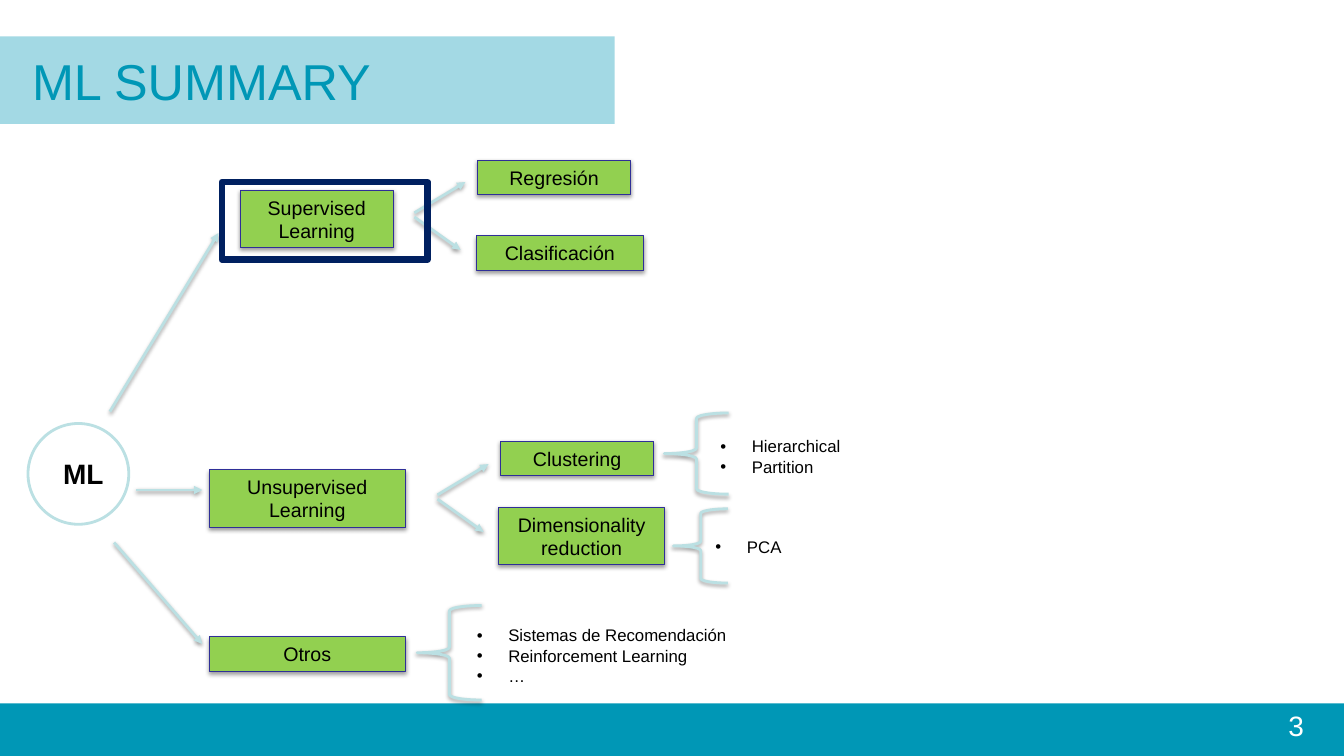
from lxml import etree
from pptx import Presentation
from pptx.dml.color import RGBColor
from pptx.enum.shapes import MSO_CONNECTOR as Connector, MSO_SHAPE as Preset
from pptx.enum.text import MSO_ANCHOR as Anchor, PP_ALIGN as Align
from pptx.oxml import parse_xml
from pptx.oxml.ns import nsdecls, qn
from pptx.util import Pt

TEAL = RGBColor(0x00, 0x97, 0xB6)
PALE = RGBColor(0xBB, 0xE0, 0xE3)
GREEN = RGBColor(0x92, 0xD0, 0x50)
INDIGO = RGBColor(0x2F, 0x2F, 0x98)
NAVY = RGBColor(0x00, 0x20, 0x60)
WHITE = RGBColor(0xFF, 0xFF, 0xFF)
BLACK = RGBColor(0x00, 0x00, 0x00)
FONT = "Arial"
SHADOW = (
    f'<a:effectLst {nsdecls("a")}><a:outerShdw blurRad="{Pt(3.1)}" dist="{Pt(1.6)}" '
    'dir="5400000" rotWithShape="0"><a:srgbClr val="000000"><a:alpha val="38000"/>'
    '</a:srgbClr></a:outerShdw></a:effectLst>'
)


class Diagram:
    """Draws the elements of a learning tree on one slide."""

    def __init__(self, slide):
        self.slide = slide

    def label(self, text_frame, text, size, color=BLACK, align=Align.LEFT,
              anchor=Anchor.TOP, bold=False):
        text_frame.text = text
        text_frame.word_wrap = True
        text_frame.vertical_anchor = anchor
        for paragraph in text_frame.paragraphs:
            paragraph.alignment = align
            for run in paragraph.runs:
                run.font.name = FONT
                run.font.size = Pt(size)
                run.font.bold = bold
                run.font.color.rgb = color

    def cast_shadow(self, shape):
        properties = shape.element.spPr
        for effect in properties.findall(qn("a:effectLst")):
            properties.remove(effect)
        properties.append(parse_xml(SHADOW))

    def shape(self, preset, place, fill=None, line=None, width=2, shadow=False):
        shape = self.slide.shapes.add_shape(preset, *map(Pt, place))
        shape.shadow.inherit = False
        if fill is None:
            shape.fill.background()
        else:
            shape.fill.solid()
            shape.fill.fore_color.rgb = fill
        if line is None:
            shape.line.fill.background()
        else:
            shape.line.color.rgb = line
            shape.line.width = Pt(width)
        if shadow:
            self.cast_shadow(shape)
        return shape

    def band(self, place, opacity=100):
        shape = self.shape(Preset.RECTANGLE, place, TEAL)
        if opacity < 100:
            color = shape.element.spPr.find(qn("a:solidFill"))[0]
            etree.SubElement(color, qn("a:alpha")).set("val", str(opacity * 1000))

    def text(self, place, text, size, **style):
        box = self.slide.shapes.add_textbox(*map(Pt, place))
        self.label(box.text_frame, text, size, **style)
        return box

    def node(self, text, *place):
        shape = self.shape(Preset.RECTANGLE, place, GREEN, INDIGO, 0.75, shadow=True)
        self.label(shape.text_frame, text, 14, align=Align.CENTER, anchor=Anchor.MIDDLE)

    def arrow(self, *ends):
        arrow = self.slide.shapes.add_connector(Connector.STRAIGHT, *map(Pt, ends))
        arrow.line.color.rgb = PALE
        arrow.line.width = Pt(2)
        line = arrow.element.spPr.find(qn("a:ln"))
        etree.SubElement(line, qn("a:tailEnd")).set("type", "triangle")
        self.cast_shadow(arrow)

    def fork(self, x, y):
        self.arrow(x, y, x + 36.5, y - 22)
        self.arrow(x, y + 3, x + 33, y + 26.5)

    def bullets(self, items, *place):
        box = self.text(place, "\n".join(items), 12)
        for paragraph in box.text_frame.paragraphs:
            properties = paragraph._p.get_or_add_pPr()
            properties.set("marL", str(Pt(22.5)))
            properties.set("indent", str(-Pt(22.5)))
            etree.SubElement(properties, qn("a:buFont")).set("typeface", FONT)
            etree.SubElement(properties, qn("a:buChar")).set("char", "•")

    def brace(self, *place):
        self.shape(Preset.LEFT_BRACE, place, line=PALE, shadow=True)


presentation = Presentation()
presentation.slide_width, presentation.slide_height = Pt(960), Pt(540)
diagram = Diagram(presentation.slides.add_slide(presentation.slide_layouts[6]))

diagram.band((0, 502.5, 960, 37.5))
diagram.band((0, 26, 439, 62.5), opacity=36)
diagram.text((770.5, 502.5, 168, 37.5), "3", 20, color=WHITE, align=Align.RIGHT)
diagram.text((15.8, 34.5, 419, 45.5), "ML SUMMARY", 36, color=TEAL, anchor=Anchor.MIDDLE)

diagram.shape(Preset.OVAL, (20, 302.5, 72, 72), WHITE, PALE)
root = diagram.shape(Preset.RECTANGLE, (38, 322, 47, 31.5), WHITE, WHITE)
diagram.label(root.text_frame, "ML", 20, anchor=Anchor.MIDDLE, bold=True)

for ends in ((78.5, 294, 156, 166.5), (97, 350, 144.5, 350), (81.5, 387.5, 144.5, 460)):
    diagram.arrow(*ends)
diagram.fork(296, 152)
diagram.fork(312.5, 353.5)

ONE_LINE, TWO_LINES = 24.5, 41
for text, left, top, width, height in (
    ("Supervised Learning", 171.5, 136, 109.5, TWO_LINES),
    ("Unsupervised Learning", 149.5, 335.5, 140, TWO_LINES),
    ("Otros", 149.5, 455, 140, ONE_LINE),
    ("Regresión", 341, 114.5, 109.5, ONE_LINE),
    ("Clasificación", 340.5, 168.5, 119, ONE_LINE),
    ("Clustering", 357.5, 315.5, 109.5, ONE_LINE),
    ("Dimensionality reduction", 356, 362.5, 119, TWO_LINES),
):
    diagram.node(text, left, top, width, height)

diagram.bullets(("Sistemas de Recomendación", "Reinforcement Learning", "…"),
                333.5, 443, 233, 51)
diagram.bullets(("Hierarchical", "Partition"), 507.5, 308, 233, 36)
diagram.bullets(("PCA",), 504, 379.5, 233, 21.5)

diagram.brace(474.5, 295, 46, 58)
diagram.brace(298, 432.5, 46, 67.5)
diagram.brace(481, 363.5, 39, 53)

diagram.shape(Preset.RECTANGLE, (158.5, 130, 147, 55.5), line=NAVY, width=4.5)

presentation.save("out.pptx")
